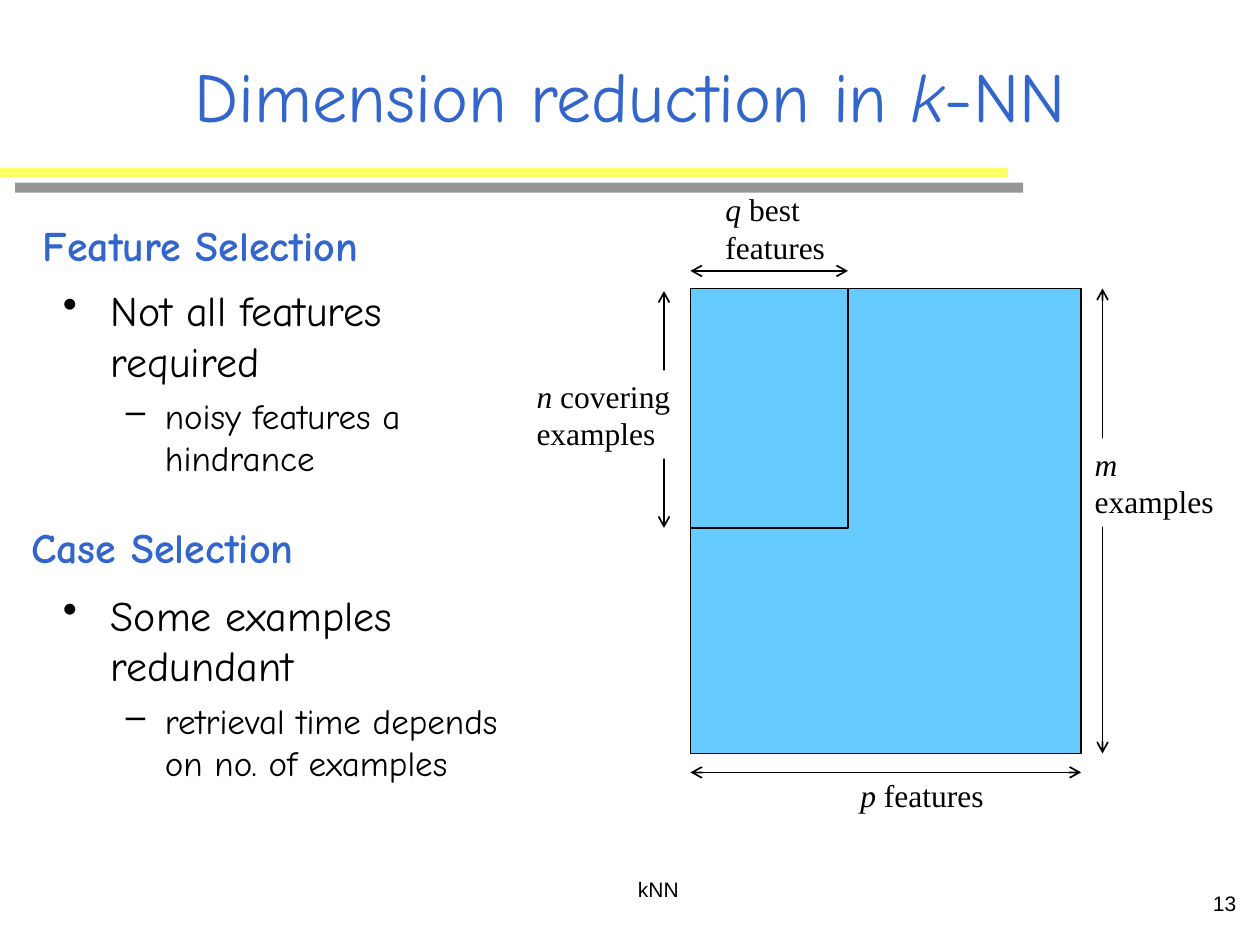
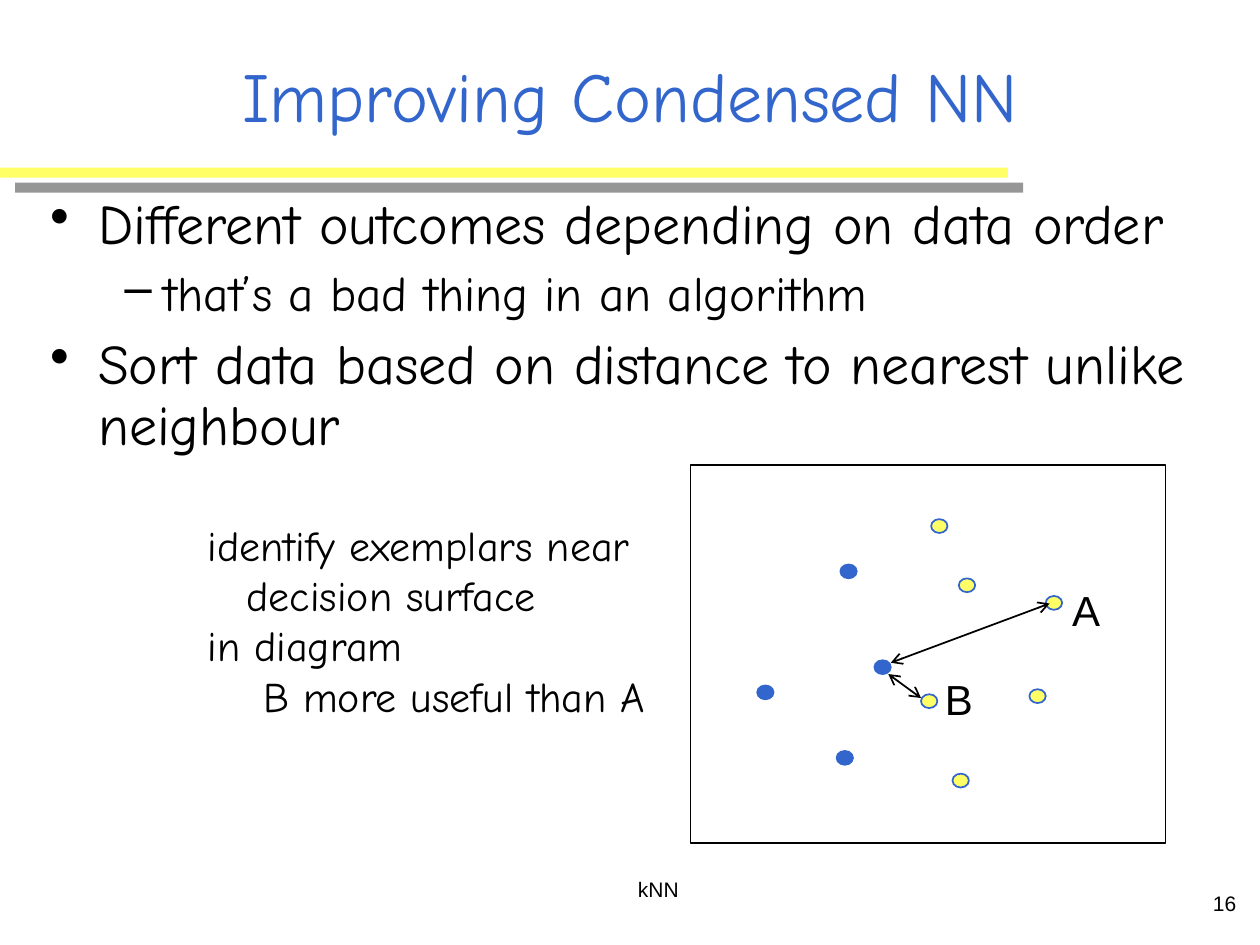
from lxml import etree
from pptx import Presentation
from pptx.dml.color import RGBColor
from pptx.enum.shapes import MSO_CONNECTOR, MSO_SHAPE
from pptx.enum.text import MSO_ANCHOR, PP_ALIGN
from pptx.oxml.ns import qn
from pptx.util import Inches, Pt

LEFT, CENTER, RIGHT = PP_ALIGN.LEFT, PP_ALIGN.CENTER, PP_ALIGN.RIGHT
TOP, MIDDLE = MSO_ANCHOR.TOP, MSO_ANCHOR.MIDDLE
RECT, OVAL = MSO_SHAPE.RECTANGLE, MSO_SHAPE.OVAL
STRAIGHT = MSO_CONNECTOR.STRAIGHT

COLORS = {
    "black": "000000",
    "white": "FFFFFF",
    "blue": "3366CC",
    "sky": "66CCFF",
    "yellow": "FFFF66",
    "grey": "969696",
}
HAND, SANS, SERIF = "Comic Neue", "Arial", "Times New Roman"


def rgb(name):
    return RGBColor.from_string(COLORS[name])


class Deck:
    """Holds the shared style and the current slide."""

    def __init__(self):
        self.prs = Presentation()
        self.prs.slide_width, self.prs.slide_height = Inches(10), Inches(7.5)
        self.s = None

    def slide(self, title, number):
        self.s = self.prs.slides.add_slide(self.prs.slide_layouts[6])
        # Band with its offset shadow
        self.shape(RECT, 0.12, 1.45, 8, 0.08, "grey")
        self.shape(RECT, 0, 1.33, 8, 0.08, "yellow")
        # Title and footer
        self.text(0.75, 0.25, 8.5, 1, title, 40, HAND, "blue",
                  align=CENTER, anchor=MIDDLE)
        self.text(3.64, 6.81, 3.17, 0.5, ["kNN"], 12, SANS,
                  align=CENTER, anchor=MIDDLE)
        self.text(7.83, 6.92, 2.08, 0.5, [number], 12, SANS,
                  align=RIGHT, anchor=MIDDLE)

    def shape(self, kind, x, y, w, h, fill=None, line=None):
        sp = self.s.shapes.add_shape(
            kind, Inches(x), Inches(y), Inches(w), Inches(h))
        sp.shadow.inherit = False
        if fill:
            sp.fill.solid()
            sp.fill.fore_color.rgb = rgb(fill)
        else:
            sp.fill.background()
        if line:
            sp.line.color.rgb = rgb(line)
            sp.line.width = Pt(1)
        else:
            sp.line.fill.background()
        return sp

    def frame(self, x, y, w, h, anchor=TOP, wrap=True, fill=None):
        sp = self.s.shapes.add_textbox(
            Inches(x), Inches(y), Inches(w), Inches(h))
        if fill:
            sp.fill.solid()
            sp.fill.fore_color.rgb = rgb(fill)
        tf = sp.text_frame
        tf.word_wrap, tf.vertical_anchor = wrap, anchor
        return tf

    def run(self, p, text, size, font, color="black", bold=False,
            italic=False):
        r = p.add_run()
        r.text = text
        r.font.size, r.font.name = Pt(size), font
        r.font.bold, r.font.italic = bold, italic
        r.font.color.rgb = rgb(color)

    def text(self, x, y, w, h, parts, size, font, color="black", bold=False,
             align=LEFT, anchor=TOP, wrap=True, fill=None):
        """One paragraph; a part given as a tuple is set in italics."""
        p = self.frame(x, y, w, h, anchor, wrap, fill).paragraphs[0]
        p.alignment = align
        for part in parts:
            italic = isinstance(part, tuple)
            self.run(p, part[0] if italic else part, size, font, color,
                     bold, italic)

    def paragraphs(self, x, y, w, h, items, spacing=1.0):
        """Each item: text, size, left margin, indent, bullet, space before."""
        tf = self.frame(x, y, w, h)
        for i, (text, size, margin, indent, bullet, before) in enumerate(items):
            p = tf.add_paragraph() if i else tf.paragraphs[0]
            pPr = p._p.get_or_add_pPr()
            pPr.set("marL", str(Inches(margin)))
            pPr.set("indent", str(Inches(indent)))
            if bullet:
                etree.SubElement(pPr, qn("a:buChar")).set("char", bullet)
            p.line_spacing = spacing
            p.space_before = Pt(before if i else 0)
            self.run(p, text, size, HAND)

    def arrow(self, x1, y1, x2, y2):
        """Line with an open arrowhead at both ends."""
        c = self.s.shapes.add_connector(
            STRAIGHT, Inches(x1), Inches(y1), Inches(x2), Inches(y2))
        c.line.color.rgb = rgb("black")
        c.line.width = Pt(1)
        ln = c.line._get_or_add_ln()
        for end in ("a:headEnd", "a:tailEnd"):
            etree.SubElement(ln, qn(end)).set("type", "arrow")
        etree.SubElement(c._element.spPr, qn("a:effectLst"))


def dimension_reduction(d):
    d.slide(["Dimension reduction in ", ("k",), "-NN"], "13")

    # Two selection strategies
    strategies = [
        ("Feature Selection", 0.24, 1.69, 2.21,
         "Not all features required", "noisy features a hindrance"),
        ("Case Selection", 0.15, 4.09, 4.63,
         "Some examples redundant",
         "retrieval time depends on no. of examples"),
    ]
    for heading, x, y, body_y, point, detail in strategies:
        d.paragraphs(0.4, body_y, 3.91, 2, [
            (point, 24, 0.38, -0.38, "•", 0),
            (detail, 20, 0.81, -0.31, "–", 5),
        ])
        d.text(x, y, 2.71, 0.5, [heading], 24, HAND, "blue", bold=True,
               wrap=False)

    # Full data matrix and the reduced part
    x, y, w, h = 5.48, 2.29, 3.1, 3.69
    q_width, n_height = 1.25, 1.9
    d.shape(RECT, x, y, w, h, "sky", "black")
    d.shape(RECT, x, y, q_width, n_height, line="black")

    # Dimension arrows
    d.arrow(5.27, y + 0.02, 5.27, y + n_height)
    d.arrow(x, 2.15, x + q_width, 2.15)
    d.arrow(x, 6.13, x + w, 6.13)
    d.arrow(8.75, y, 8.75, y + h)

    # Dimension labels
    labels = [
        (6.73, 6.11, 1.18, 0.4, "p", " features", None),
        (5.66, 1.46, 1, 0.7, "q", " best features", None),
        (4.16, 2.94, 1.29, 0.7, "n", " covering examples", "white"),
        (8.59, 3.48, 1.17, 0.7, "m", " examples", "white"),
    ]
    for lx, ly, lw, lh, symbol, words, fill in labels:
        d.text(lx, ly, lw, lh, [(symbol,), words], 18, SERIF, fill=fill)


def improving_condensed(d):
    d.slide(["Improving Condensed NN"], "16")

    # Main points
    d.paragraphs(0.3, 1.51, 9.45, 2.72, [
        ("Different outcomes depending on data order",
         32, 0.38, -0.38, "•", 0),
        ("that’s a bad thing in an algorithm", 28, 0.9, -0.31, "–", 7),
        ("Sort data based on distance to nearest unlike neighbour",
         32, 0.38, -0.38, "•", 8),
    ], spacing=0.9)

    # Two classes of examples
    classes = {
        "blue": [(6.67, 4.48), (6.01, 5.44), (6.94, 5.24), (6.64, 5.96)],
        "yellow": [(7.31, 5.51), (8.3, 4.73), (7.39, 4.12), (7.56, 6.14),
                   (7.61, 4.59), (8.17, 5.47)],
    }
    for color, dots in classes.items():
        for x, y in dots:
            d.shape(OVAL, x, y, 0.13, 0.11, color, "blue")

    # Distances to the unlike neighbours A and B
    d.arrow(7.05, 5.35, 7.31, 5.54)
    d.arrow(7.07, 5.26, 8.33, 4.79)
    for name, x, y in (("A", 8.41, 4.59), ("B", 7.4, 5.3)):
        d.text(x, y, 0.42, 0.5, [name], 24, SANS, wrap=False)
    d.shape(RECT, 5.48, 3.69, 3.77, 3, line="black")

    # Explanation
    d.paragraphs(0.96, 4.07, 4.6, 2.72, [
        ("identify exemplars near decision surface", 24, 0.9, -0.31, None, 0),
        ("in diagram", 24, 0.9, -0.31, None, 0),
        ("B more useful than A", 24, 1.03, 0, None, 0),
    ])


def main():
    d = Deck()
    dimension_reduction(d)
    improving_condensed(d)
    d.prs.save("out.pptx")


if __name__ == "__main__":
    main()
